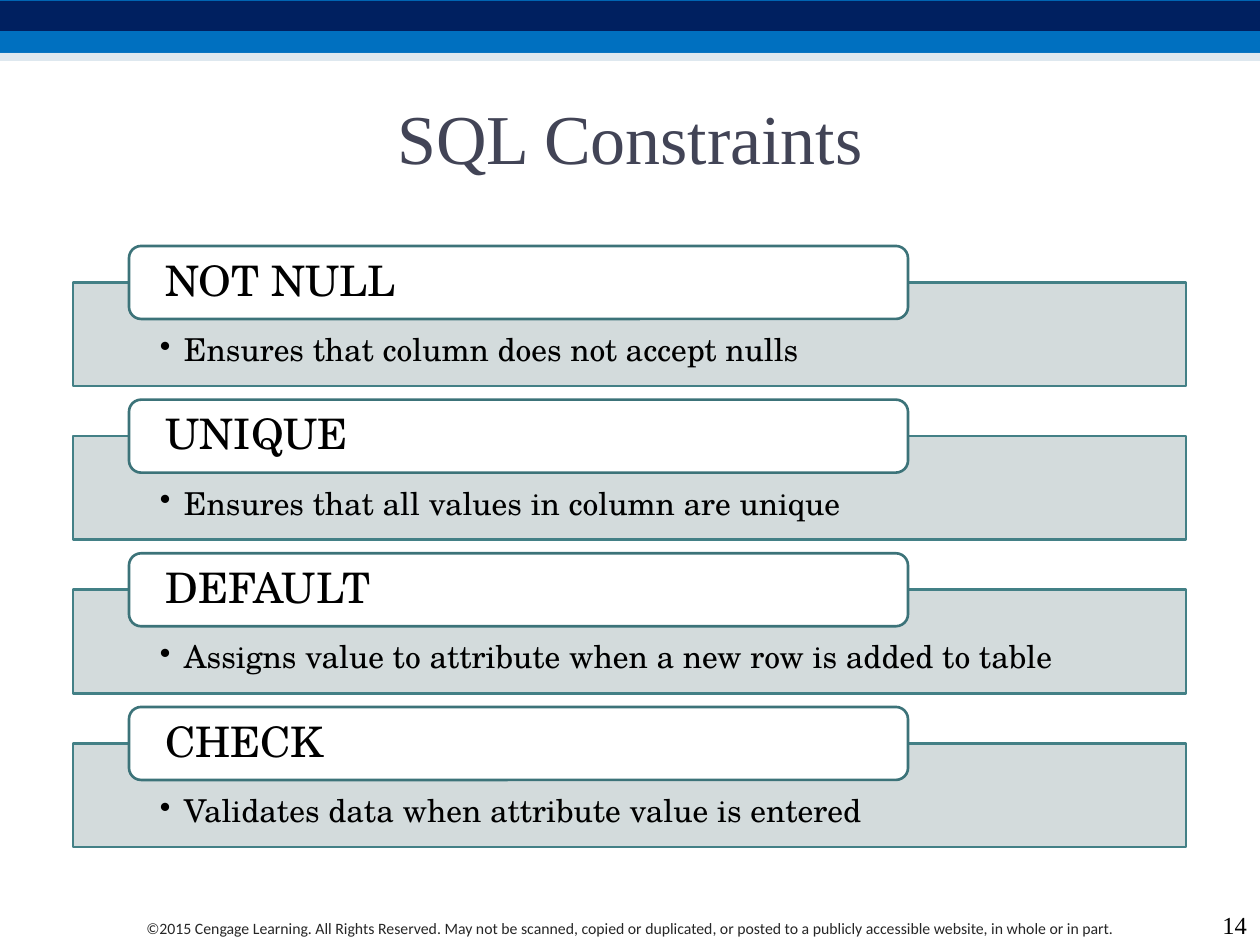
from lxml.etree import SubElement
from pptx import Presentation
from pptx.dml.color import RGBColor
from pptx.enum.shapes import MSO_SHAPE as Shape
from pptx.enum.text import MSO_ANCHOR as Anchor, PP_ALIGN as Align
from pptx.oxml.ns import qn
from pptx.util import Pt

PX = 914400 // 126
WIDTH, HEIGHT = 1260, 945
SERIF = "Times New Roman"
SCHOOL = "TeX Gyre Schola"

CONSTRAINTS = [
    ("NOT NULL", "Ensures that column does not accept nulls"),
    ("UNIQUE", "Ensures that all values in column are unique"),
    ("DEFAULT", "Assigns value to attribute when a new row is added to table"),
    ("CHECK", "Validates data when attribute value is entered"),
]


def emu(*lengths):
    return [round(length * PX) for length in lengths]


def color(hex_code):
    return RGBColor.from_string(hex_code)


def add_panel(slide, kind, box, fill, line=None, opacity=100):
    shape = slide.shapes.add_shape(kind, *emu(*box))
    shape.shadow.inherit = False
    shape.fill.solid()
    shape.fill.fore_color.rgb = color(fill)
    if opacity < 100:
        rgb = shape.fill._xPr.find(".//" + qn("a:srgbClr"))
        SubElement(rgb, qn("a:alpha"), val=str(opacity * 1000))
    if line:
        shape.line.color.rgb = color(line)
        shape.line.width = Pt(1.5)
    else:
        shape.line.fill.background()
    return shape


def set_text(shape, text, font, size, ink="000000", align=Align.LEFT,
             anchor=Anchor.TOP, insets=(13, 6, 13, 6)):
    """Fill the shape with one paragraph and return that paragraph."""
    frame = shape.text_frame
    frame.text = text
    frame.word_wrap = True
    frame.vertical_anchor = anchor
    (frame.margin_left, frame.margin_top,
     frame.margin_right, frame.margin_bottom) = emu(*insets)
    paragraph = frame.paragraphs[0]
    paragraph.alignment = align
    run_font = paragraph.runs[0].font
    run_font.name, run_font.size = font, Pt(size)
    run_font.color.rgb = color(ink)
    return paragraph


def add_bullet(paragraph, indent):
    properties = paragraph._p.get_or_add_pPr()
    properties.set("marL", str(indent * PX))
    properties.set("indent", str(-indent * PX))
    SubElement(properties, qn("a:buChar"), char="•")


def add_label(slide, box, text, font, size, **style):
    set_text(slide.shapes.add_textbox(*emu(*box)), text, font, size, **style)


def add_header_bands(slide, box):
    left, top, width, _ = box
    bands = [(0, 53, "0070C0", 100), (1, 30, "002060", 100), (53, 8, "BED3E1", 50)]
    for offset, height, fill, opacity in bands:
        add_panel(slide, Shape.RECTANGLE, (left, top + offset, width, height),
                  fill, opacity=opacity)


def add_constraint(slide, box, name, description):
    """A shaded body with a rounded name tab over its top edge."""
    left, top, width, height = box
    tab_height = 73
    body_top = tab_height / 2
    body = add_panel(slide, Shape.RECTANGLE,
                     (left, top + body_top, width, height - body_top),
                     "CFD8D9", "438086", opacity=90)
    paragraph = set_text(body, description, SCHOOL, 18, insets=(87, 52, 87, 18))
    paragraph.line_spacing = 0.9
    add_bullet(paragraph, 24)

    tab = add_panel(slide, Shape.ROUNDED_RECTANGLE,
                    (left + 56, top, width * 0.7, tab_height), "FFFFFF", "3C7379")
    paragraph = set_text(tab, name, SCHOOL, 24, anchor=Anchor.MIDDLE,
                         insets=(33, 4, 33, 4))
    paragraph.line_spacing = 0.9


def add_constraint_list(slide, box):
    left, top, width, height = box
    card_height = 140
    pitch = (height - card_height) / (len(CONSTRAINTS) - 1)
    for index, (name, description) in enumerate(CONSTRAINTS):
        add_constraint(slide, (left, top + index * pitch, width, card_height),
                       name, description)


def add_footer(slide, box):
    left, top, width, height = box
    add_label(slide, (left + 73, top + 10, width - 147, 32),
              "©2015 Cengage Learning. All Rights Reserved. May not be scanned, "
              "copied or duplicated, or posted to a publicly accessible website, "
              "in whole or in part.",
              "Calibri", 9, ink="262626", align=Align.CENTER)
    add_label(slide, (left + width - 63, top, 63, height), "14", SERIF, 14,
              align=Align.RIGHT, anchor=Anchor.BOTTOM)


def main():
    presentation = Presentation()
    presentation.slide_width, presentation.slide_height = emu(WIDTH, HEIGHT)
    slide = presentation.slides.add_slide(presentation.slide_layouts[6])
    add_header_bands(slide, (0, 0, WIDTH, 61))
    add_label(slide, (63, 63, 1134, 147), "SQL Constraints", SERIF, 40,
              ink="424456", align=Align.CENTER, anchor=Anchor.MIDDLE)
    add_constraint_list(slide, (73, 246, 1113, 601))
    add_footer(slide, (0, 903, WIDTH, 42))
    presentation.save("out.pptx")


if __name__ == "__main__":
    main()
